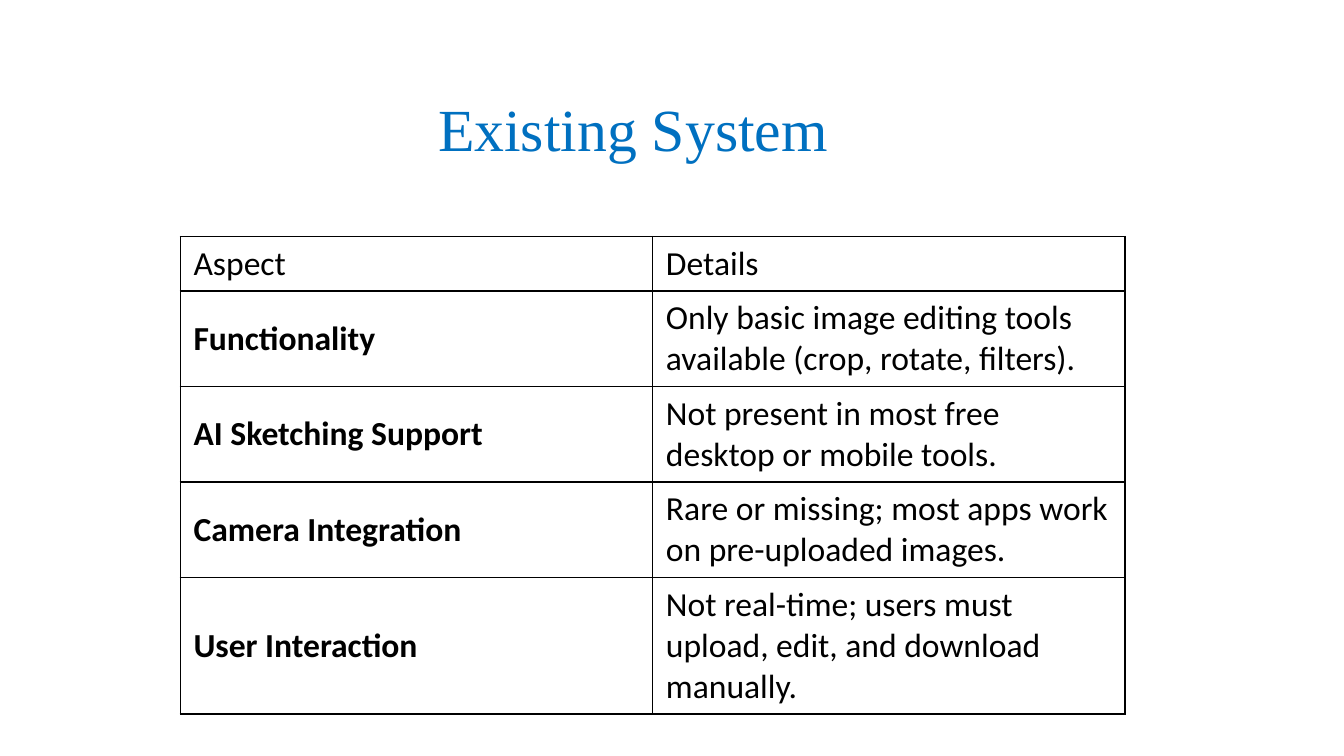
from lxml.etree import SubElement
from pptx import Presentation
from pptx.dml.color import RGBColor
from pptx.enum.text import MSO_ANCHOR, PP_ALIGN
from pptx.oxml.ns import qn
from pptx.util import Inches, Pt

ROWS = [
    ("Aspect", "Details"),
    ("Functionality", "Only basic image editing tools available (crop, rotate, filters)."),
    ("AI Sketching Support", "Not present in most free desktop or mobile tools."),
    ("Camera Integration", "Rare or missing; most apps work on pre-uploaded images."),
    ("User Interaction", "Not real-time; users must upload, edit, and download manually."),
]
HEIGHTS = [0.4] + [0.53] * 4


def style(font, name, size, color, bold=False):
    """Set the face, size, colour and weight of a font."""
    font.name, font.size, font.bold = name, Pt(size), bold
    font.color.rgb = RGBColor.from_string(color)


def add_title(slide, text, left, top, width, height):
    """Place the slide title in the given box."""
    title = slide.shapes.title
    title.left, title.top = Inches(left), Inches(top)
    title.width, title.height = Inches(width), Inches(height)
    frame = title.text_frame
    frame.text = text
    frame.vertical_anchor = MSO_ANCHOR.TOP
    para = frame.paragraphs[0]
    para.alignment = PP_ALIGN.LEFT
    style(para.font, "Times New Roman", 32, "0070C0")


def add_border(cell, color, width):
    """Draw a solid line on all four sides of a cell."""
    props = cell._tc.get_or_add_tcPr()
    for side in ("lnL", "lnR", "lnT", "lnB"):
        line = SubElement(props, qn(f"a:{side}"), w=str(Pt(width)))
        fill = SubElement(line, qn("a:solidFill"))
        SubElement(fill, qn("a:srgbClr"), val=color)


def add_grid(slide, rows, heights, left, top, width):
    """Place a bordered table with equal columns and bold row labels."""
    count = len(rows[0])
    table = slide.shapes.add_table(
        len(rows), count, Inches(left), Inches(top), Inches(width), Inches(sum(heights))
    ).table
    table.first_row = table.horz_banding = False
    for i, (row, height) in enumerate(zip(rows, heights)):
        table.rows[i].height = Inches(height)
        for j, text in enumerate(row):
            cell = table.cell(i, j)
            cell.text = text
            cell.vertical_anchor = MSO_ANCHOR.MIDDLE
            label = i > 0 and j == 0
            style(cell.text_frame.paragraphs[0].font, "Calibri", 18, "000000", label)
            add_border(cell, "000000", 0.75)
            cell.fill.background()


def main():
    """Build and save the slide."""
    deck = Presentation()
    deck.slide_width = Inches(10)
    deck.slide_height = deck.slide_width * 9 // 16
    slide = deck.slides.add_slide(deck.slide_layouts[5])
    add_title(slide, "Existing System", 3.16, 0.63, 5.2, 0.64)
    add_grid(slide, ROWS, HEIGHTS, 1.34, 1.76, 7.03)
    deck.save("out.pptx")


if __name__ == "__main__":
    main()
